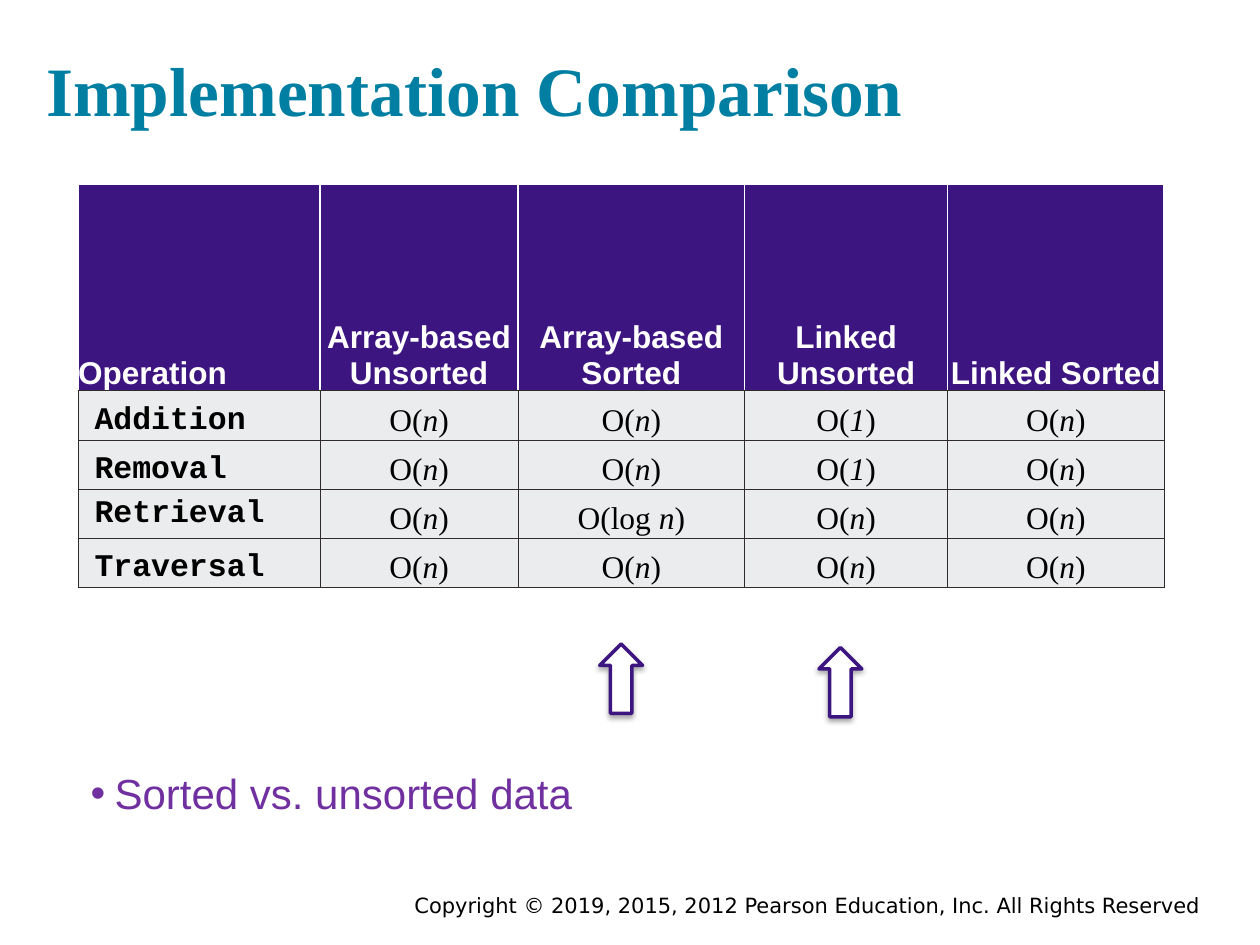
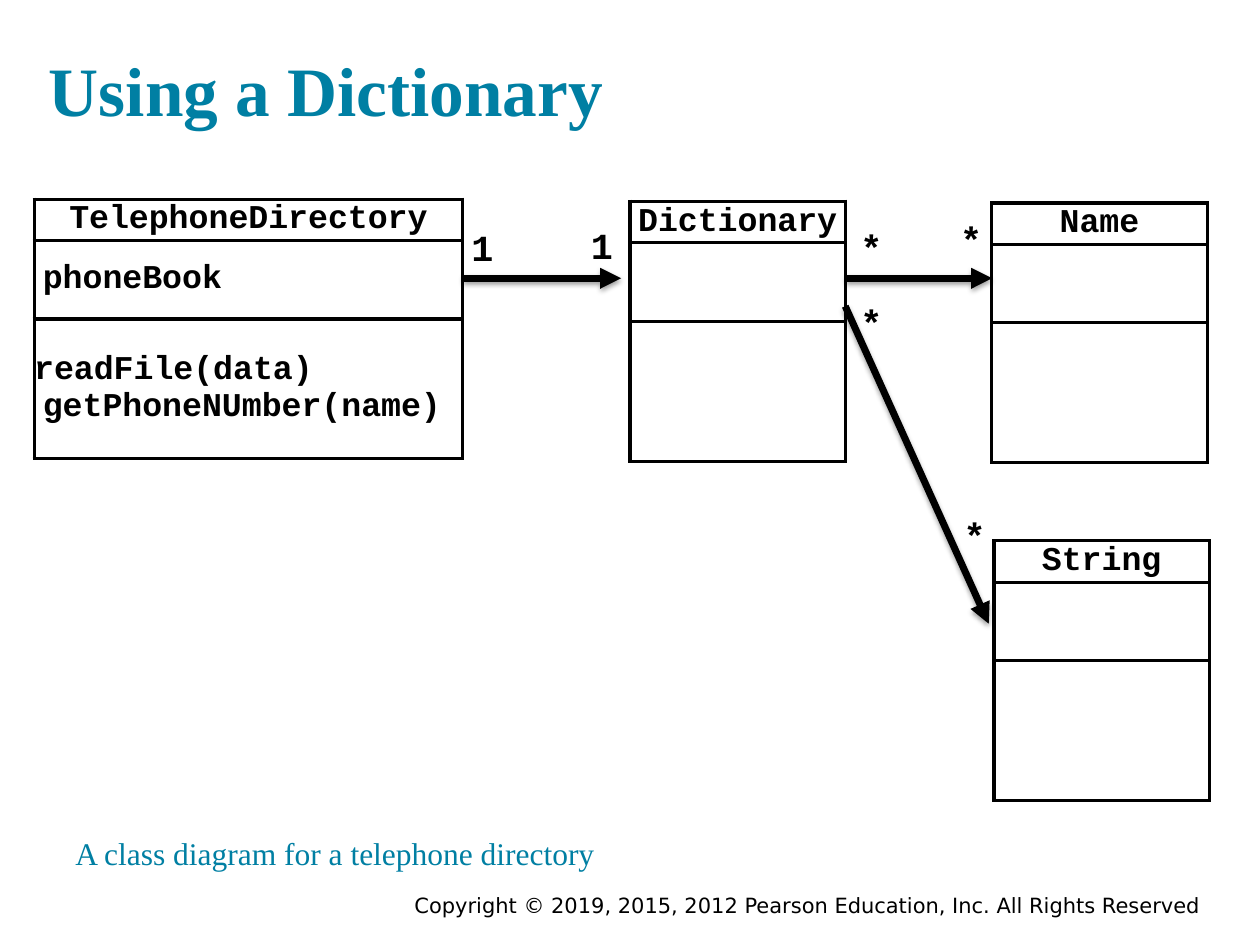
from dataclasses import dataclass, replace

from lxml import etree
from pptx import Presentation
from pptx.dml.color import RGBColor
from pptx.enum.shapes import MSO_CONNECTOR, MSO_SHAPE
from pptx.enum.text import MSO_ANCHOR, MSO_AUTO_SIZE, PP_ALIGN
from pptx.oxml.ns import qn
from pptx.util import Pt

COLORS = {
    "title": "007FA3",
    "header": "3C1581",
    "row": "EBECED",
    "grid": "2F2A2B",
    "bullet": "7030A0",
    "white": "FFFFFF",
    "black": "000000",
}
COPYRIGHT = "Copyright © 2019, 2015, 2012 Pearson Education, Inc. All Rights Reserved"


@dataclass(frozen=True)
class TextStyle:
    font: str
    size: float
    color: str
    bold: bool = False
    align: PP_ALIGN = PP_ALIGN.LEFT
    margin: float = 0
    indent: float = 0
    space_before: float = 0
    line_spacing: float = 1
    bullet: str = ""


@dataclass(frozen=True)
class TextBox:
    text: str
    left: float
    top: float
    width: float
    height: float
    style: TextStyle
    insets: tuple[float, float] = (3.6, 3.6)
    anchor: MSO_ANCHOR = MSO_ANCHOR.TOP
    wrap: bool = True


@dataclass(frozen=True)
class ClassBox:
    name: str
    left: float
    top: float
    width: float = 123.1
    attributes: str = ""
    methods: str = ""


@dataclass(frozen=True)
class Border:
    color: str
    width: float


@dataclass(frozen=True)
class Arrow:
    start: tuple[float, float]
    end: tuple[float, float]


TITLE = TextStyle("Times New Roman", 39.6, "title", bold=True)
CAPTION = TextStyle("Times New Roman", 18, "title")
FOOTER = TextStyle("DejaVu Sans", 12, "black", align=PP_ALIGN.RIGHT)
BULLET = TextStyle("Arial", 24, "bullet", margin=13.7, indent=-13.7, bullet="•")
HEADER = TextStyle("Arial", 18, "white", bold=True, align=PP_ALIGN.CENTER)
OPERATION = TextStyle("Courier New", 18, "black", bold=True, margin=4.3,
                      space_before=2, line_spacing=1.3)
COST = TextStyle("Times New Roman", 18, "black", align=PP_ALIGN.CENTER,
                 space_before=2, line_spacing=1.3)
CLASS_NAME = TextStyle("Courier New", 19, "black", bold=True, align=PP_ALIGN.CENTER)
ATTRIBUTE = replace(CLASS_NAME, align=PP_ALIGN.LEFT, indent=5)
METHOD = replace(ATTRIBUTE, margin=5, indent=-5)
MULTIPLICITY = TextStyle("Courier New", 21, "black", bold=True)

THIN = Border("grid", 0.5)
WHITE = Border("white", 1)
OUTLINE = Border("black", 2)

OPERATION_COLUMNS = (138.3, 113, 129.6, 115.9, 123.8)
OPERATION_ROWS = (118, 28, 28, 28, 28)
OPERATIONS = (
    ("Operation", "Array-based Unsorted", "Array-based Sorted",
     "Linked Unsorted", "Linked Sorted"),
    ("Addition", "O(n)", "O(n)", "O(1)", "O(n)"),
    ("Removal", "O(n)", "O(n)", "O(1)", "O(n)"),
    ("Retrieval", "O(n)", "O(log n)", "O(n)", "O(n)"),
    ("Traversal", "O(n)", "O(n)", "O(n)", "O(n)"),
)
UP_ARROWS = ((468, 370), (342.7, 368))

CLASS_ROWS = (23.8, 44.7, 80)
CLASSES = (
    ClassBox("TelephoneDirectory", 19.5, 113.8, 245, "phoneBook",
             "readFile(data)\vgetPhoneNUmber(name)"),
    ClassBox("Dictionary", 360, 115),
    ClassBox("Name", 566.8, 116),
    ClassBox("String", 568, 309),
)
ASSOCIATIONS = (
    Arrow((265, 159), (355, 159)),
    Arrow((483.8, 159), (567, 159)),
    Arrow((483, 175), (565, 356.4)),
)
MULTIPLICITIES = (
    ("1", 265.7, 124.6), ("1", 334, 123.8), ("*", 545, 120.3),
    ("*", 488, 124.6), ("*", 488, 167.8), ("*", 547, 289.5),
)


def rgb(name: str) -> RGBColor:
    return RGBColor.from_string(COLORS[name])


def add_child(parent, tag: str, **attributes):
    child = etree.SubElement(parent, qn(tag))
    for key, value in attributes.items():
        child.set(key, str(value))
    return child


def style_paragraph(para, style: TextStyle) -> None:
    para.alignment = style.align
    properties = para._p.get_or_add_pPr()
    properties.set("marL", str(Pt(style.margin)))
    properties.set("indent", str(Pt(style.indent)))
    if style.line_spacing != 1:
        para.line_spacing = style.line_spacing
    if style.space_before:
        para.space_before = Pt(style.space_before)
    if style.bullet:
        add_child(properties, "a:buFont", typeface=style.font)
        add_child(properties, "a:buChar", char=style.bullet)
    font = para.font
    font.name = style.font
    font.size = Pt(style.size)
    font.bold = style.bold
    font.color.rgb = rgb(style.color)


def add_text(page, box: TextBox) -> None:
    shape = page.shapes.add_textbox(
        Pt(box.left), Pt(box.top), Pt(box.width), Pt(box.height))
    frame = shape.text_frame
    frame.margin_left = frame.margin_right = Pt(box.insets[0])
    frame.margin_top = frame.margin_bottom = Pt(box.insets[1])
    frame.vertical_anchor = box.anchor
    frame.word_wrap = box.wrap
    if not box.wrap:
        frame.auto_size = MSO_AUTO_SIZE.SHAPE_TO_FIT_TEXT
    para = frame.paragraphs[0]
    para.text = box.text
    style_paragraph(para, box.style)


def add_page(deck, title: str, title_left: float):
    page = deck.slides.add_slide(deck.slide_layouts[6])
    add_text(page, TextBox(COPYRIGHT, 126, 506.2, 563.8, 22.3, FOOTER))
    add_text(page, TextBox(title, title_left, 18, 670, 63.4, TITLE,
                           (7.2, 7.2), MSO_ANCHOR.BOTTOM))
    return page


def add_grid(page, left: float, top: float, columns: tuple, rows: tuple):
    """Add a table without banding, sized by its column and row lengths."""
    table = page.shapes.add_table(
        len(rows), len(columns), Pt(left), Pt(top),
        Pt(sum(columns)), Pt(sum(rows))).table
    table.first_row = table.horz_banding = False
    for column, width in zip(table.columns, columns):
        column.width = Pt(width)
    for row, height in zip(table.rows, rows):
        row.height = Pt(height)
    return table


def format_cell(cell, sides: Border, bottom: Border, fill: str = "",
                side_inset: float = 0, anchor: MSO_ANCHOR = MSO_ANCHOR.MIDDLE) -> None:
    cell.margin_left = cell.margin_right = Pt(side_inset)
    cell.margin_top = cell.margin_bottom = 0
    cell.vertical_anchor = anchor
    if fill:
        cell.fill.solid()
        cell.fill.fore_color.rgb = rgb(fill)
    else:
        cell.fill.background()
    properties = cell._tc.get_or_add_tcPr()
    borders = {"a:lnL": sides, "a:lnR": sides, "a:lnT": sides, "a:lnB": bottom}
    for position, (tag, border) in enumerate(borders.items()):
        line = add_child(properties, tag, w=Pt(border.width))
        add_child(add_child(line, "a:solidFill"), "a:srgbClr", val=COLORS[border.color])
        properties.insert(position, line)


def write_cost(para, cost: str) -> None:
    """Write a growth rate such as O(n) with its variable in italics."""
    for text, italic in ((cost[:-2], False), (cost[-2], True), (cost[-1], False)):
        span = para.add_run()
        span.text = text
        span.font.italic = italic


def add_operations_table(page) -> None:
    table = add_grid(page, 44.7, 105.3, OPERATION_COLUMNS, OPERATION_ROWS)
    for row, values in enumerate(OPERATIONS):
        for column, value in enumerate(values):
            cell = table.cell(row, column)
            para = cell.text_frame.paragraphs[0]
            if row == 0:
                format_cell(cell, WHITE, THIN, "header", anchor=MSO_ANCHOR.BOTTOM)
                style = HEADER if column else replace(HEADER, align=PP_ALIGN.LEFT)
            else:
                format_cell(cell, THIN, THIN, "row", side_inset=5)
                style = COST if column else OPERATION
            if value == "Retrieval":
                style = replace(style, line_spacing=1)
            if style is COST:
                write_cost(para, value)
            else:
                para.text = value
            style_paragraph(para, style)


def add_class(page, box: ClassBox) -> None:
    table = add_grid(page, box.left, box.top, (box.width,), CLASS_ROWS)
    parts = ((box.name, CLASS_NAME), (box.attributes, ATTRIBUTE), (box.methods, METHOD))
    for row, (text, style) in enumerate(parts):
        cell = table.cell(row, 0)
        format_cell(cell, OUTLINE, OUTLINE)
        if text:
            para = cell.text_frame.paragraphs[0]
            para.text = text
            style_paragraph(para, style)


def add_shadow(shape, distance: float, opacity: int) -> None:
    effects = add_child(shape._element.spPr, "a:effectLst")
    shadow = add_child(effects, "a:outerShdw", blurRad=Pt(3), dist=Pt(distance),
                       dir=90 * 60000, rotWithShape=0)
    color = add_child(shadow, "a:srgbClr", val=COLORS["black"])
    add_child(color, "a:alpha", val=opacity * 1000)


def add_up_arrow(page, left: float, top: float) -> None:
    shape = page.shapes.add_shape(
        MSO_SHAPE.DOWN_ARROW, Pt(left), Pt(top), Pt(24.5), Pt(39.6))
    shape.rotation = 180
    shape.fill.solid()
    shape.fill.fore_color.rgb = rgb("white")
    shape.line.color.rgb = rgb("header")
    shape.line.width = Pt(2)
    add_shadow(shape, 1.8, 35)


def add_association(page, arrow: Arrow) -> None:
    points = [Pt(value) for value in arrow.start + arrow.end]
    connector = page.shapes.add_connector(MSO_CONNECTOR.STRAIGHT, *points)
    connector.line.color.rgb = rgb("black")
    connector.line.width = Pt(4)
    add_child(connector.line._get_or_add_ln(), "a:tailEnd", type="triangle")
    add_shadow(connector, 1.6, 38)


def build_comparison(deck) -> None:
    page = add_page(deck, "Implementation Comparison", 19.4)
    add_operations_table(page)
    for left, top in UP_ARROWS:
        add_up_arrow(page, left, top)
    add_text(page, TextBox("Sorted vs. unsorted data", 44.7, 435, 292.3, 36,
                           BULLET, (7.2, 3.6), wrap=False))


def build_class_diagram(deck) -> None:
    page = add_page(deck, "Using a Dictionary", 20.9)
    add_text(page, TextBox("A class diagram for a telephone directory", 36, 459.4,
                           648, 46, CAPTION, (7.2, 7.2), MSO_ANCHOR.BOTTOM))
    for box in CLASSES:
        add_class(page, box)
    for arrow in ASSOCIATIONS:
        add_association(page, arrow)
    for text, left, top in MULTIPLICITIES:
        add_text(page, TextBox(text, left, top, 20.9, 30.2, MULTIPLICITY, wrap=False))


def main() -> None:
    deck = Presentation()
    deck.slide_width, deck.slide_height = Pt(720), Pt(540)
    build_comparison(deck)
    build_class_diagram(deck)
    deck.save("out.pptx")


if __name__ == "__main__":
    main()
